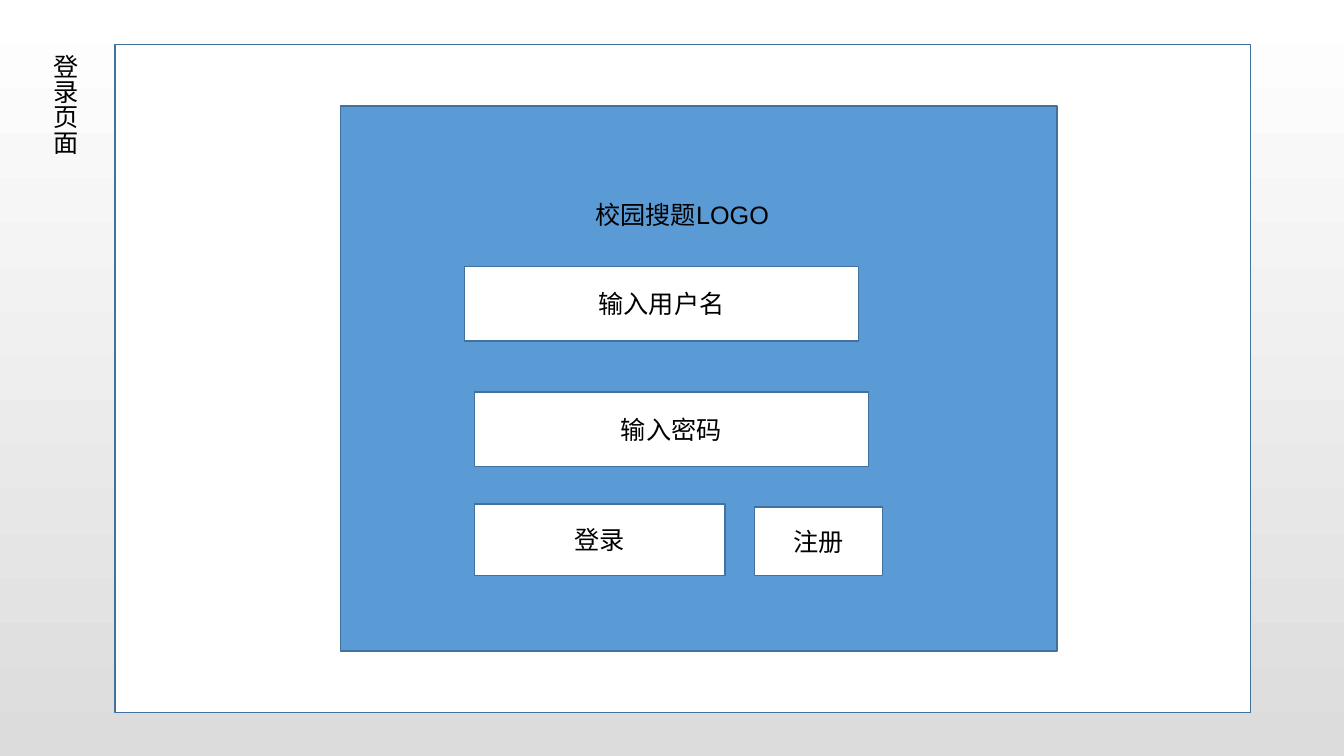
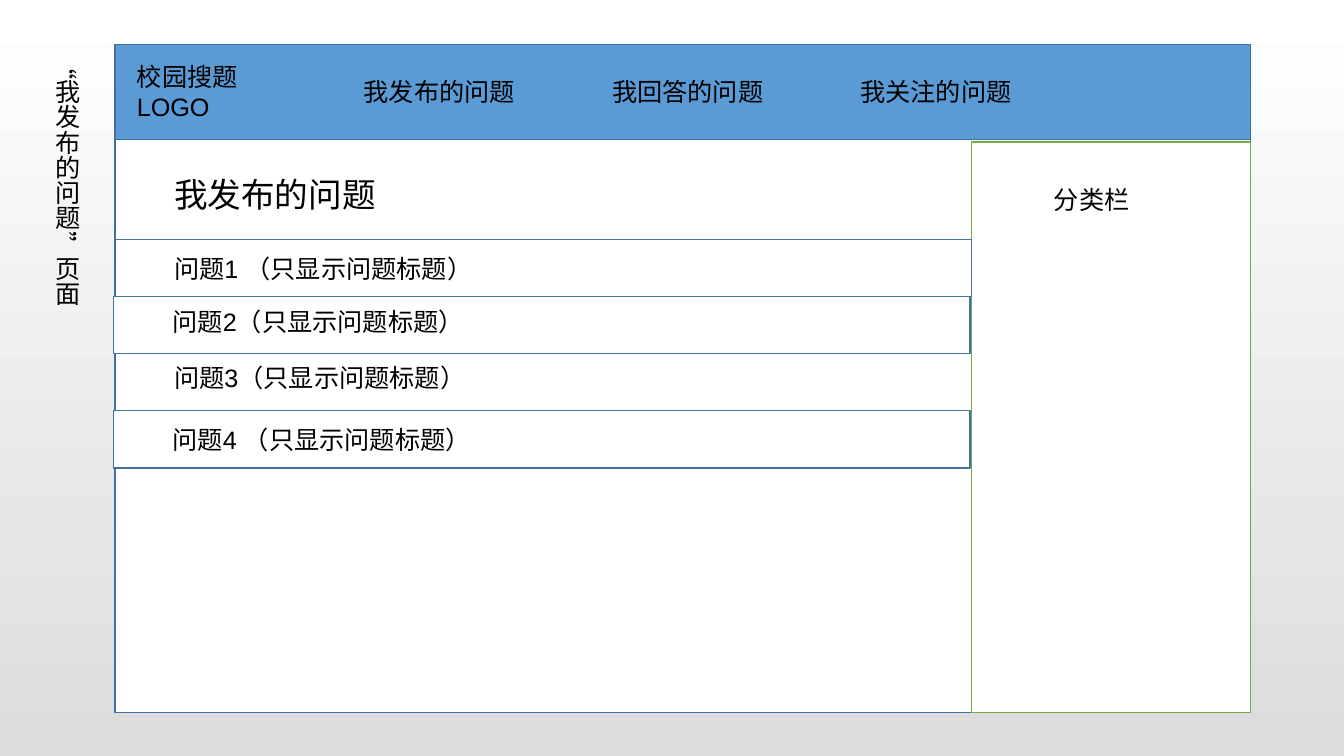
import pptx
import pptx.dml.color
import pptx.enum.shapes
import pptx.enum.text
import pptx.util

Cm = pptx.util.Cm
Align = pptx.enum.text.PP_ALIGN
Anchor = pptx.enum.text.MSO_ANCHOR

FONT = "Arial"
BLACK, WHITE, PALE_GREY = "000000", "FFFFFF", "DCDCDC"
BLUE, DARK_BLUE, GREEN = "5B9BD5", "41719C", "70AD47"
FRAME = (2.9, 1.12, 28.63, 16.84)  # left, top, width, height in cm
LINE_HEIGHT = 1.02


def rgb(value):
    return pptx.dml.color.RGBColor.from_string(value)


def lengths(box):
    return [Cm(value) for value in box]


def write(frame, text, size=18, align=Align.LEFT, anchor=Anchor.TOP):
    frame.text = text
    frame.word_wrap = True
    frame.vertical_anchor = anchor
    paragraph = frame.paragraphs[0]
    paragraph.alignment = align
    for run in paragraph.runs:
        run.font.size = pptx.util.Pt(size)
        run.font.name = FONT
        run.font.color.rgb = rgb(BLACK)


def add_panel(slide, box, fill=WHITE, line=DARK_BLUE, text=None):
    panel = slide.shapes.add_shape(
        pptx.enum.shapes.MSO_SHAPE.RECTANGLE, *lengths(box))
    panel.shadow.inherit = False
    panel.fill.solid()
    panel.fill.fore_color.rgb = rgb(fill)
    panel.line.color.rgb = rgb(line)
    panel.line.width = pptx.util.Pt(1)
    if text:
        write(panel.text_frame, text, align=Align.CENTER, anchor=Anchor.MIDDLE)


def add_label(slide, box, text, size=18):
    write(slide.shapes.add_textbox(*lengths(box)).text_frame, text, size)


def set_background(master):
    fill = master.background.fill
    fill.gradient()
    fill.gradient_angle = 270
    for stop, colour in zip(fill.gradient_stops, (WHITE, PALE_GREY)):
        stop.color.rgb = rgb(colour)


def add_page(deck, name, name_height):
    """Add a slide with its vertical page name and the page frame."""
    slide = deck.slides.add_slide(deck.slide_layouts.get_by_name("Title Only"))
    title = slide.shapes.title
    title.left, title.top, title.width, title.height = lengths(
        (0.89, FRAME[1], 1.27, name_height))
    frame = title.text_frame
    write(frame, name, align=Align.CENTER)
    frame.auto_size = pptx.enum.text.MSO_AUTO_SIZE.NONE
    frame.margin_left = frame.margin_right = Cm(0.13)
    frame.margin_top = frame.margin_bottom = Cm(0.25)
    frame._txBody.bodyPr.set("vert", "eaVert")
    add_panel(slide, FRAME)
    return slide


def login_card(slide, box):
    left, top = box[:2]
    add_panel(slide, box, fill=BLUE)
    add_label(slide, (left + 6.17, top + 2.23, 6.25, LINE_HEIGHT), "校园搜题LOGO")
    # Input fields and buttons, offset from the card's corner
    for text, x, y, width, height in (
        ("输入用户名", 3.12, 4.04, 9.93, 1.88),
        ("输入密码", 3.37, 7.21, 9.93, 1.88),
        ("登录", 3.37, 10.03, 6.32, 1.8),
        ("注册", 10.43, 10.11, 3.23, 1.73),
    ):
        add_panel(slide, (left + x, top + y, width, height), text=text)


def navigation_bar(slide, box):
    left, top = box[:2]
    add_panel(slide, box, fill=BLUE)
    add_label(slide, (left + 0.3, top + 0.3, 3.33, 1.78), "校园搜题LOGO")
    for index, text in enumerate(("我发布的问题", "我回答的问题", "我关注的问题")):
        add_label(slide, (left + 6.02 + 6.26 * index, top + 0.68, 5.11, LINE_HEIGHT),
                  text)


def category_sidebar(slide, box):
    left, top = box[:2]
    add_panel(slide, box, line=GREEN)
    add_label(slide, (left + 1.83, top + 0.94, 3.94, LINE_HEIGHT), "分类栏")


def question_list(slide, box):
    left, top, width, _ = box
    add_label(slide, (left + 1.24, top, 7.01, 1.27), "我发布的问题", size=24)
    row_height = 1.44
    # Text, shift of the row, drop of the text in it, whether it has a border
    for index, (text, shift, drop, bordered) in enumerate((
        ("问题1 （只显示问题标题）", 0, 0.23, True),
        ("问题2（只显示问题标题）", -0.04, 0.13, True),
        ("问题3（只显示问题标题）", 0, 0.1, False),
        ("问题4 （只显示问题标题）", -0.04, 0.23, True),
    )):
        row_left, row_top = left + shift, top + 1.76 + row_height * index
        if bordered:
            add_panel(slide, (row_left, row_top, width, row_height))
        add_label(slide, (row_left + 1.24, row_top + drop, 9.96, LINE_HEIGHT), text)


def login_page(deck):
    slide = add_page(deck, "登录页面", 8.05)
    left, top = FRAME[:2]
    login_card(slide, (left + 5.69, top + 1.55, 18.06, 13.74))


def my_questions_page(deck):
    slide = add_page(deck, "“我发布的问题”页面", 12.85)
    left, top, width, height = FRAME
    sidebar_width, sidebar_top = 7.04, 2.46
    navigation_bar(slide, (left, top, width, 2.39))
    category_sidebar(slide, (left + width - sidebar_width, top + sidebar_top,
                             sidebar_width, height - sidebar_top))
    question_list(slide, (left, top + 3.15, width - sidebar_width, 7.52))


def main():
    deck = pptx.Presentation()
    deck.slide_width, deck.slide_height = Cm(33.88), Cm(19.05)
    set_background(deck.slide_master)
    login_page(deck)
    my_questions_page(deck)
    deck.save("out.pptx")


if __name__ == "__main__":
    main()
